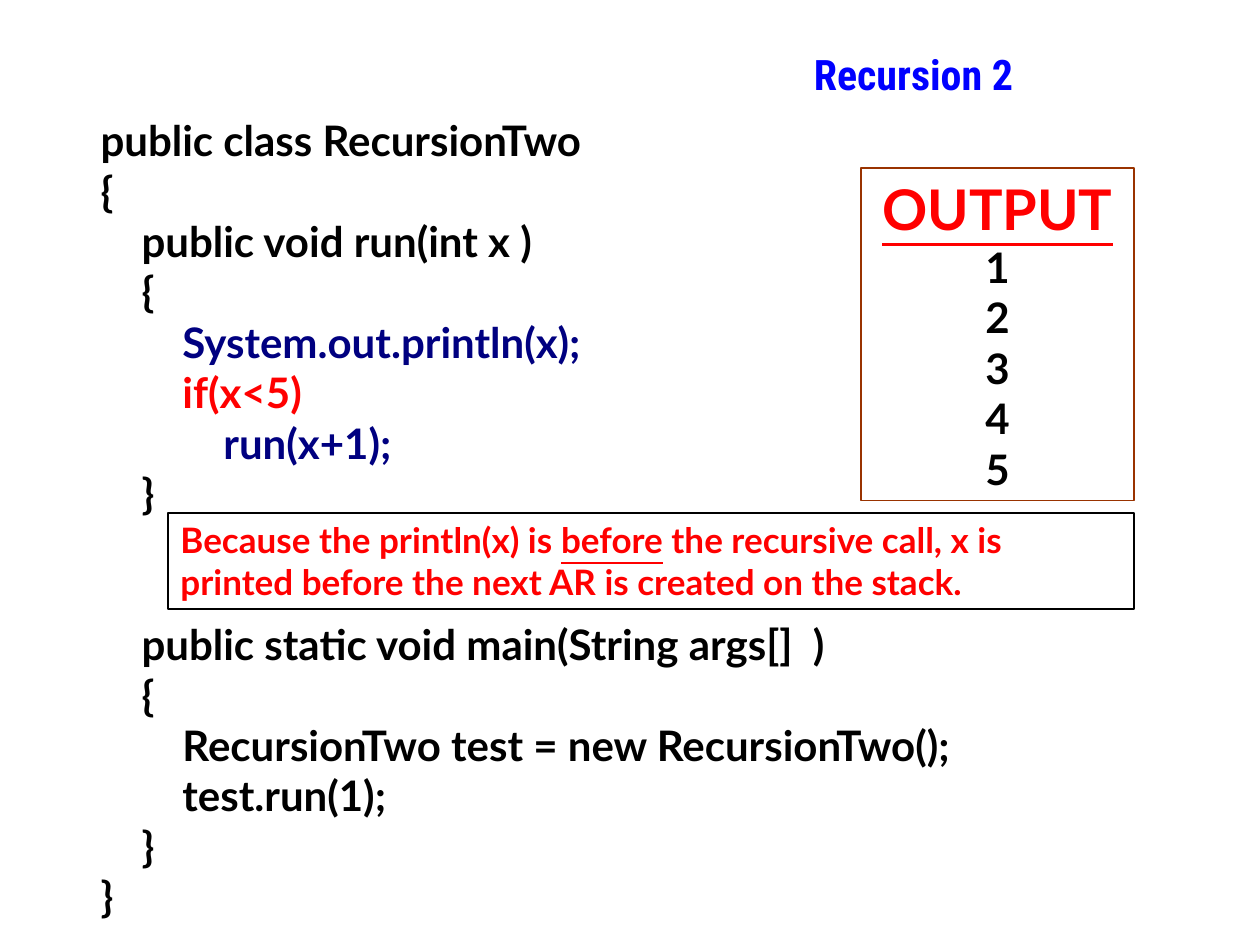
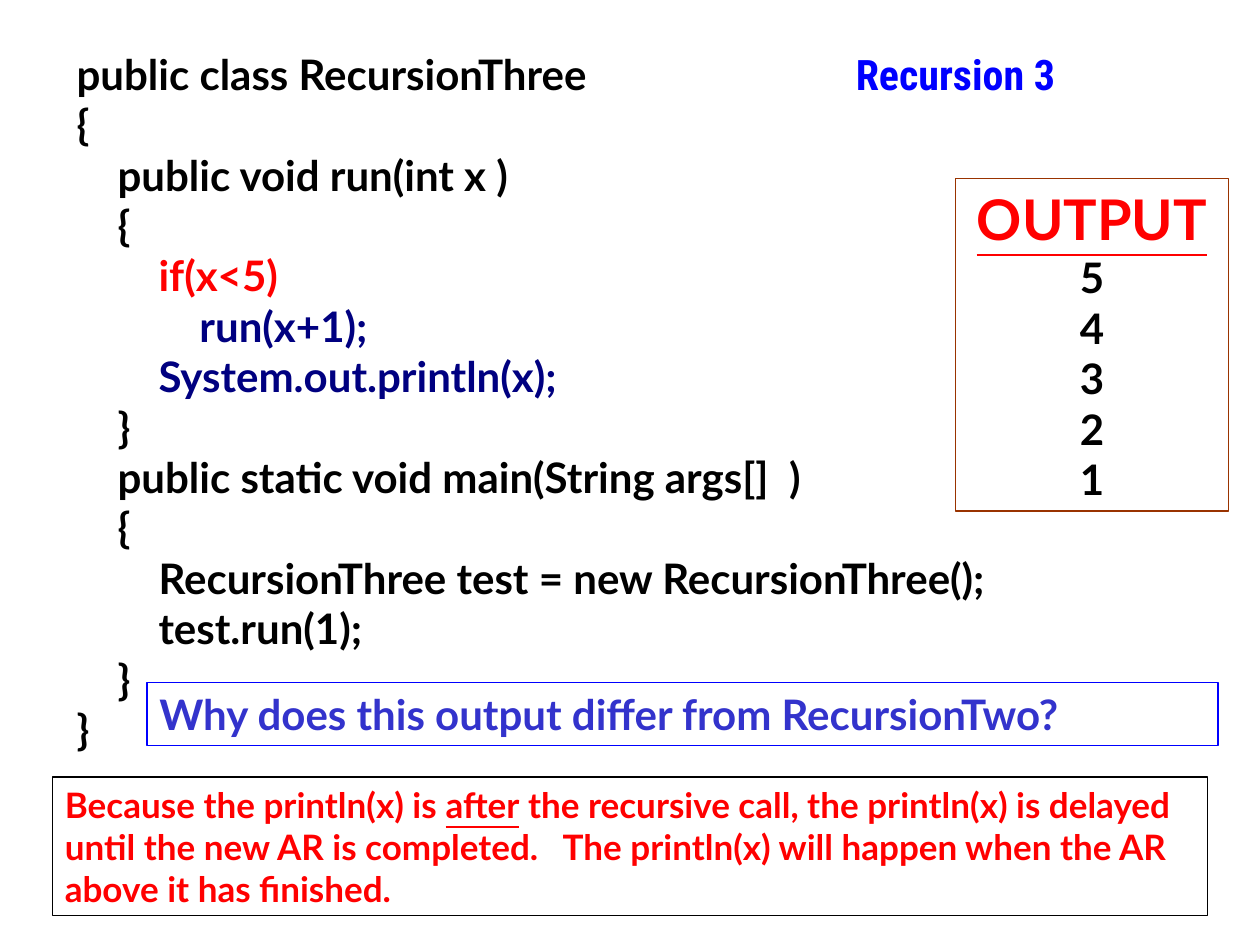
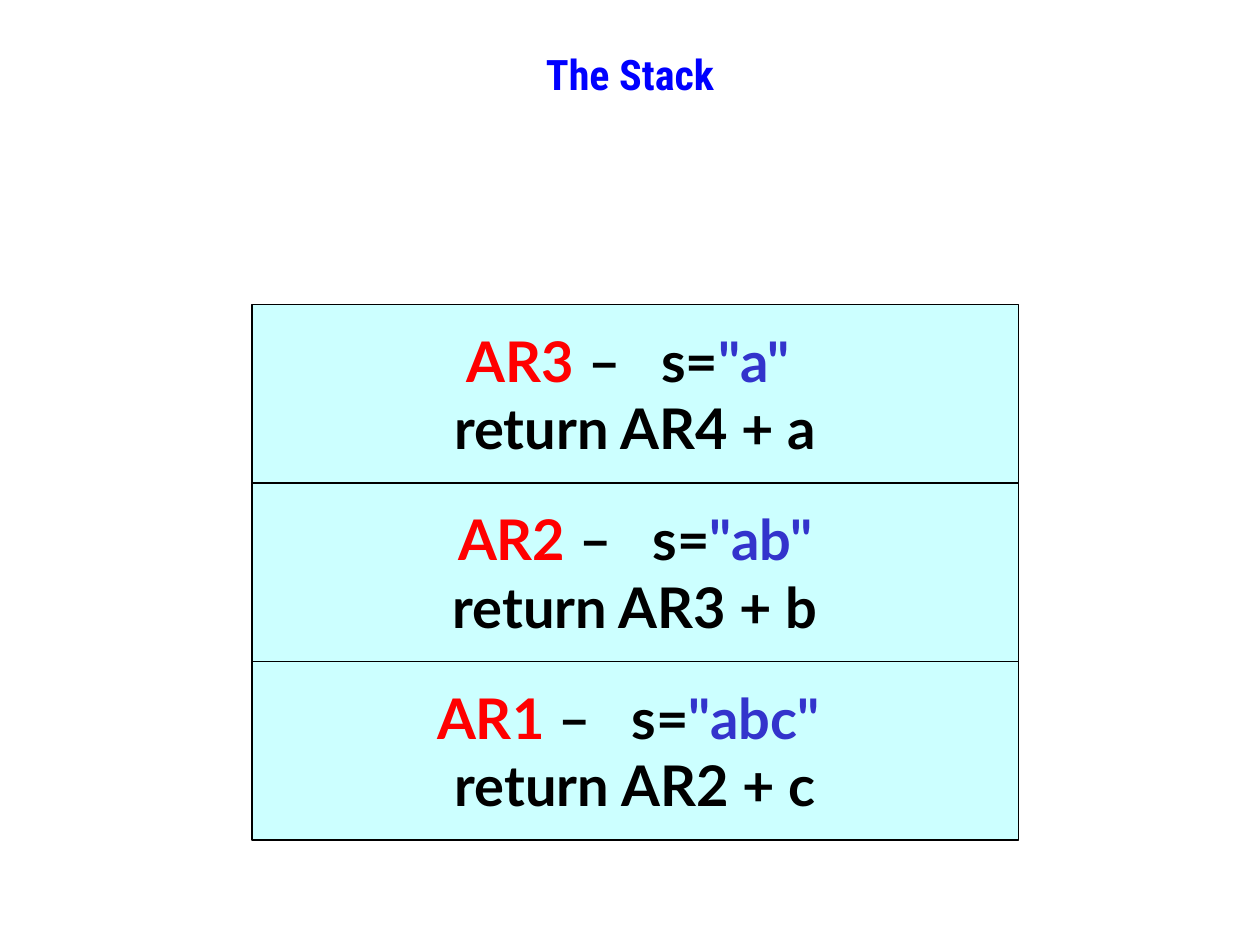
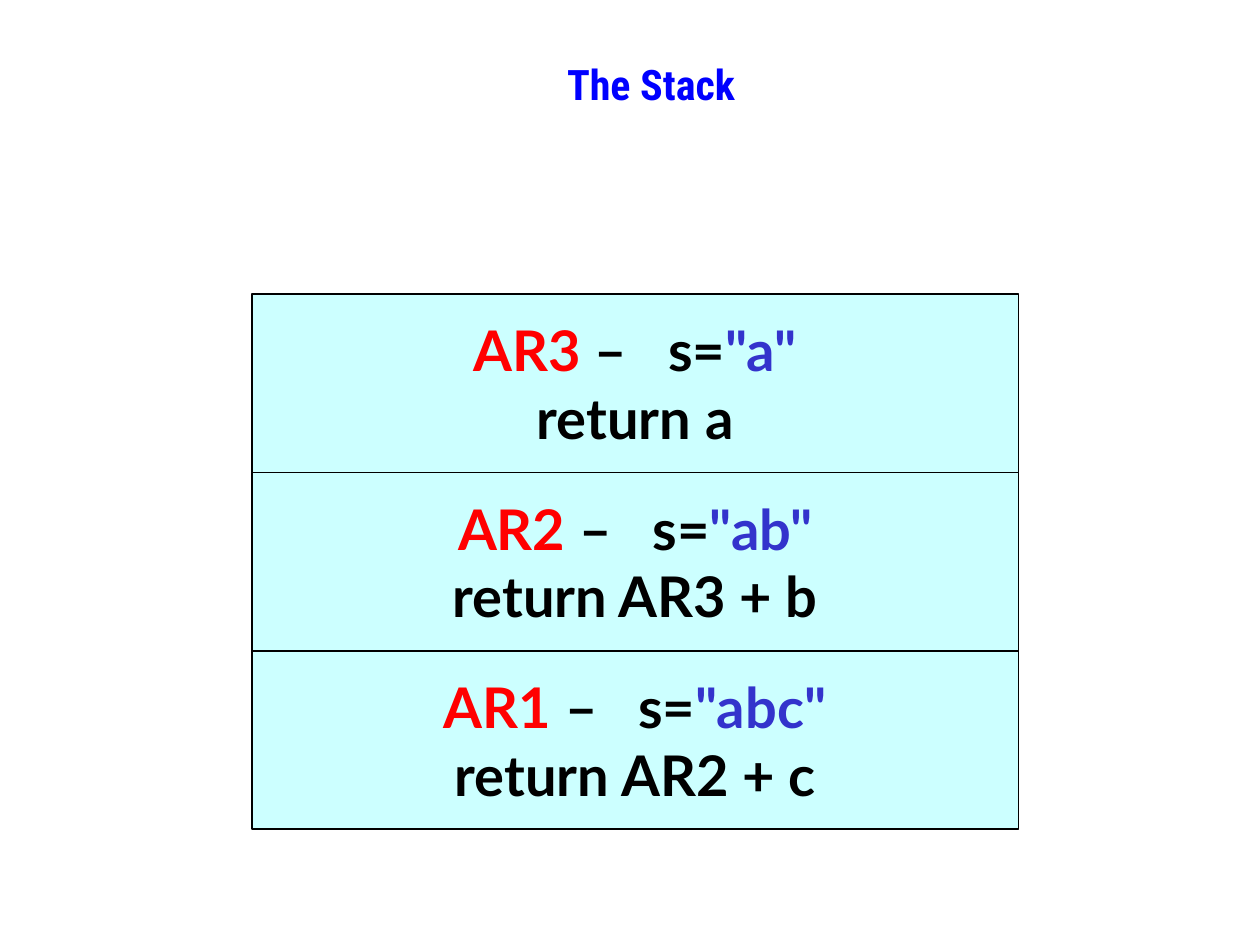
from collections import namedtuple

from pptx import Presentation
from pptx.dml.color import RGBColor
from pptx.enum.shapes import MSO_SHAPE
from pptx.enum.text import MSO_ANCHOR, PP_ALIGN
from pptx.util import Pt

BLACK = RGBColor(0, 0, 0)
RED = RGBColor(255, 0, 0)
BLUE = RGBColor(0, 0, 255)
NAVY = RGBColor(0, 0, 128)
INDIGO = RGBColor(51, 51, 204)
BROWN = RGBColor(153, 51, 0)
PALE_CYAN = RGBColor(204, 255, 255)

TITLE = {"name": "Roboto Condensed", "size": Pt(24), "bold": True}
CODE = {"name": "Lato", "size": Pt(24), "bold": True}
NOTE = {**CODE, "size": Pt(20)}
LARGE = {**CODE, "size": Pt(32)}
UNDERLINED = {"underline": True}

INSETS = {
    "margin_left": Pt(7.2),
    "margin_right": Pt(7.2),
    "margin_top": Pt(3.6),
    "margin_bottom": Pt(3.6),
    "word_wrap": True,
}
INDENT = 23.4
CODE_LINE = 28.8

Box = namedtuple("Box", "left top width height")

RUN_HEAD = [(1, "public void run(int x )", BLACK), (1, "{", BLACK)]
PRINT = [(2, "System.out.println(x);", NAVY)]
RECURSE = [(2, "if(x<5)", RED), (3, "run(x+1);", NAVY)]


def set_all(target, values):
    for attribute, value in values.items():
        setattr(target, attribute, value)


def write_line(paragraph, pieces, style, align=PP_ALIGN.LEFT):
    paragraph.alignment = align
    for words, color, *extra in pieces:
        run = paragraph.add_run()
        run.text = words
        set_all(run.font, style)
        for more in extra:
            set_all(run.font, more)
        run.font.color.rgb = color


def next_line(frame, index):
    return frame.add_paragraph() if index else frame.paragraphs[0]


def add_frame(slide, box):
    frame = slide.shapes.add_textbox(*map(Pt, box)).text_frame
    set_all(frame, INSETS)
    return frame


def add_panel(slide, box, border, fill=None, anchor=MSO_ANCHOR.TOP):
    panel = slide.shapes.add_shape(MSO_SHAPE.RECTANGLE, *map(Pt, box))
    panel.shadow.inherit = False
    if fill is None:
        panel.fill.background()
    else:
        panel.fill.solid()
        panel.fill.fore_color.rgb = fill
    panel.line.color.rgb = border
    panel.line.width = Pt(1)
    set_all(panel.text_frame, {**INSETS, "vertical_anchor": anchor})
    return panel.text_frame


def add_title(slide, box, title):
    frame = add_frame(slide, box)
    write_line(frame.paragraphs[0], [(title, BLUE)], TITLE, PP_ALIGN.CENTER)


def add_code(slide, box, class_name, run_body, gap_lines=0):
    main_head = (1, "public static void main(String args[]  )", BLACK)
    listing = [
        (0, f"public class {class_name}", BLACK),
        (0, "{", BLACK),
        *RUN_HEAD,
        *run_body,
        (1, "}", BLACK),
        main_head,
        (1, "{", BLACK),
        (2, f"{class_name} test = new {class_name}();", BLACK),
        (2, "test.run(1);", BLACK),
        (1, "}", BLACK),
        (0, "}", BLACK),
    ]
    frame = add_frame(slide, box)
    for index, (depth, statement, color) in enumerate(listing):
        line = next_line(frame, index)
        write_line(line, [(statement, color)], CODE)
        line._p.get_or_add_pPr().set("marL", str(Pt(depth * INDENT)))
        if listing[index] is main_head:
            line.space_before = Pt(gap_lines * CODE_LINE)


def add_output(slide, box, numbers):
    frame = add_panel(slide, box, BROWN)
    write_line(frame.paragraphs[0], [("OUTPUT", RED, UNDERLINED)], LARGE, PP_ALIGN.CENTER)
    for number in numbers:
        write_line(frame.add_paragraph(), [(str(number), BLACK)], CODE, PP_ALIGN.CENTER)


def add_note(slide, box, order, ending):
    frame = add_panel(slide, box, BLACK)
    pieces = [
        ("Because the println(x) is ", RED),
        (order, RED, UNDERLINED),
        (f" the recursive call, {ending}", RED),
    ]
    write_line(frame.paragraphs[0], pieces, NOTE)


def add_question(slide, box, question):
    frame = add_panel(slide, box, BLUE)
    write_line(frame.paragraphs[0], [(question, INDIGO)], CODE)


def add_stack(slide, box, records):
    height = box.height / len(records)
    for row, (record, argument, result) in enumerate(records):
        record_box = Box(box.left, box.top + row * height, box.width, height)
        frame = add_panel(slide, record_box, BLACK, PALE_CYAN, MSO_ANCHOR.MIDDLE)
        lines = [
            [(record, RED), (" –   s=", BLACK), (argument, INDIGO)],
            [(f"return {result}", BLACK)],
        ]
        for index, pieces in enumerate(lines):
            write_line(next_line(frame, index), pieces, LARGE, PP_ALIGN.CENTER)


def main():
    deck = Presentation()
    deck.slide_width, deck.slide_height = Pt(720), Pt(540)
    two, three, calls, returns = (
        deck.slides.add_slide(deck.slide_layouts[6]) for _ in range(4)
    )

    add_title(two, Box(366, 24, 312, 54), "Recursion 2")
    add_code(two, Box(50.4, 62, 560, 497), "RecursionTwo", PRINT + RECURSE, gap_lines=2)
    add_output(two, Box(492, 96, 156, 190), range(1, 6))
    add_note(two, Box(96, 293, 552, 55.2), "before",
             "x is printed before the next AR is created on the stack.")

    add_title(three, Box(390, 24, 312, 54), "Recursion 3")
    add_code(three, Box(36.7, 24, 599, 439), "RecursionThree", RECURSE + PRINT)
    add_output(three, Box(546, 102, 156, 190), range(5, 0, -1))
    add_question(three, Box(84, 390, 612, 36),
                 "Why does this output differ from RecursionTwo?")
    add_note(three, Box(30, 444, 660, 79.2), "after",
             "the println(x) is delayed until the new AR is completed.   "
             "The println(x) will happen when the AR above it has finished.")

    add_stack(calls, Box(144, 174, 438, 306), [
        ("AR3", '"a" ', "AR4 + a"),
        ("AR2", '"ab"', "AR3 + b"),
        ("AR1", '"abc" ', "AR2 + c"),
    ])
    add_title(calls, Box(120, 24, 480, 66), "The Stack")

    add_stack(returns, Box(144, 168, 438, 306), [
        ("AR3", '"a"', "a"),
        ("AR2", '"ab"', "AR3 + b"),
        ("AR1", '"abc"', "AR2 + c"),
    ])
    add_title(returns, Box(132, 30, 480, 66), "The Stack")

    deck.save("out.pptx")


if __name__ == "__main__":
    main()
